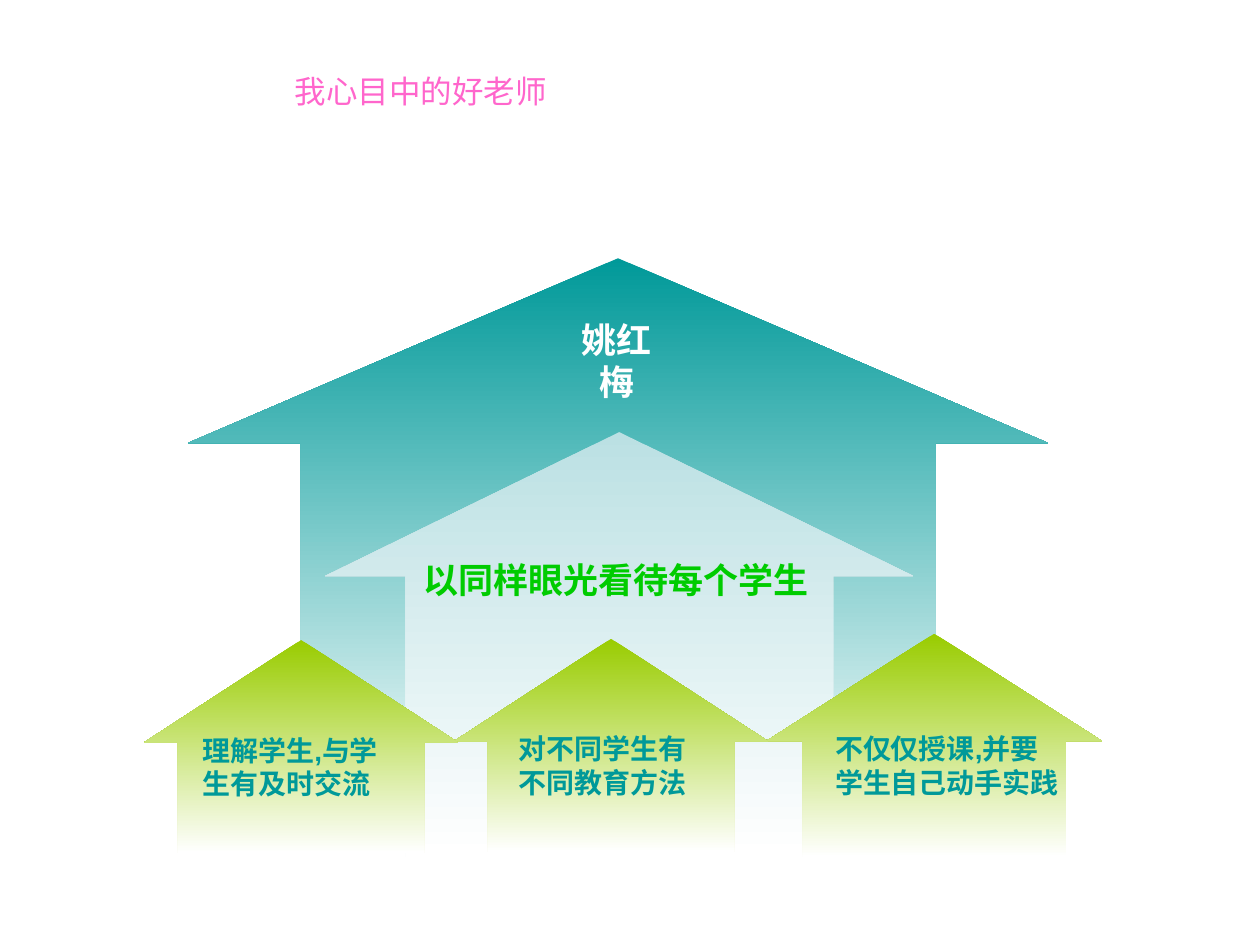
"""Build a slide of nested house-shaped arrows describing a good teacher."""
from pptx import Presentation
from pptx import util as u
from pptx.dml.color import RGBColor
from pptx.enum import shapes, text

TEAL, LIME = "009999", "99CC00"
LEFT, CENTER = text.PP_ALIGN.LEFT, text.PP_ALIGN.CENTER


def rgb(value):
    return RGBColor.from_string(value)


prs = Presentation()
prs.slide_width, prs.slide_height = u.Inches(10), u.Inches(7.5)
s = prs.slides.add_slide(prs.slide_layouts[6])

arrows = [
    ((1.49, 2.05, 6.83, 4.5), (0.738, 0.326), TEAL),
    ((2.58, 3.43, 4.67, 3.37), (0.727, 0.339), "BBE0E3"),
    ((6.08, 5.03, 2.67, 1.77), (0.783, 0.482), LIME),
    ((3.6, 5.07, 2.5, 1.69), (0.783, 0.482), LIME),
    ((1.14, 5.08, 2.5, 1.69), (0.783, 0.482), LIME),
]
for box, adjustments, color in arrows:
    sp = s.shapes.add_shape(shapes.MSO_SHAPE.UP_ARROW, *map(u.Inches, box))
    sp.shadow.inherit = False
    sp.line.fill.background()
    for i, value in enumerate(adjustments):
        sp.adjustments[i] = value
    sp.fill.gradient()
    sp.fill.gradient_angle = 270
    for stop, position, stop_color in zip(sp.fill.gradient_stops, (0, 1), (color, "FFFFFF")):
        stop.position = position
        stop.color.rgb = rgb(stop_color)

title = {"name": "Noto Sans CJK SC", "size": u.Pt(18), "bold": False}
heading = {"name": "Arial", "size": u.Pt(20), "bold": True}
body = {"name": "Arial", "size": u.Pt(16), "bold": True}
labels = [
    ((2.24, 0.52, 5.28, 1.26), ["我心目中的好老师"], title, "FF66CC", LEFT),
    ((4.38, 2.48, 1.03, 0.44), ["姚红梅"], heading, "FFFFFF", CENTER),
    ((3.26, 4.38, 3.26, 0.44), ["以同样眼光看待每个学生"], heading, "00CC00", CENTER),
    ((1.51, 5.77, 1.7, 0.64), ["理解学生,与学", "生有及时交流"], body, TEAL, LEFT),
    ((4.02, 5.76, 1.53, 0.64), ["对不同学生有", "不同教育方法"], body, TEAL, LEFT),
    ((6.53, 5.76, 1.97, 0.64), ["不仅仅授课,并要", "学生自己动手实践"], body, TEAL, LEFT),
]
for box, lines, style, color, align in labels:
    tf = s.shapes.add_textbox(*map(u.Inches, box)).text_frame
    tf.word_wrap = False
    for i, line in enumerate(lines):
        p = tf.add_paragraph() if i else tf.paragraphs[0]
        p.alignment = align
        r = p.add_run()
        r.text = line
        r.font.color.rgb = rgb(color)
        for key, value in style.items():
            setattr(r.font, key, value)

prs.save("out.pptx")
